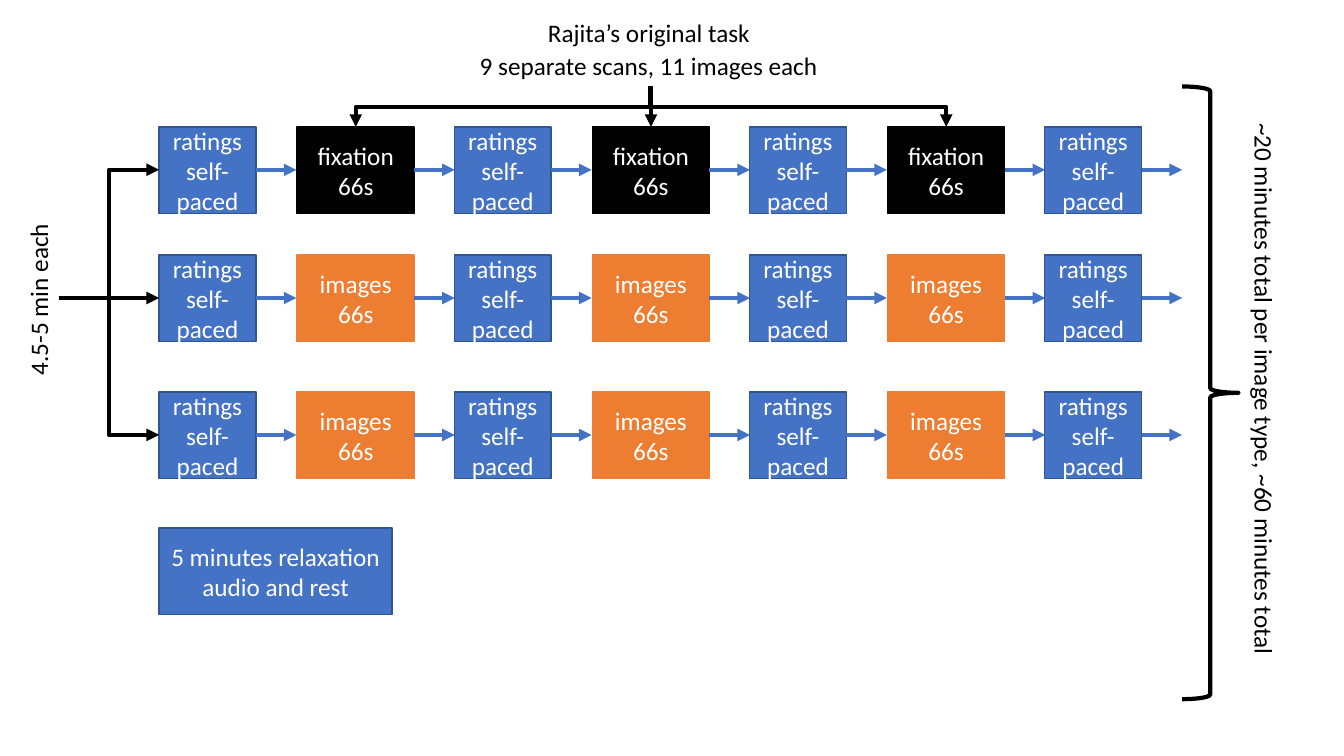
import pptx
import pptx.util
import pptx.dml.color
import pptx.enum.shapes
import pptx.enum.text
import pptx.oxml
import pptx.oxml.ns

BLUE, NAVY, ORANGE, BLACK, WHITE = "4472C4", "325491", "ED7D31", "000000", "FFFFFF"
RATING = "ratings\nself-paced"
SCANS = [
    (3.2, "fixation\n66s", BLACK),
    (6.43, "images\n66s", ORANGE),
    (9.88, "images\n66s", ORANGE),
]
LABELS = [
    ("Rajita’s original task", 13.56, 0.3, 5.64, 0),
    ("9 separate scans, 11 images each", 11.84, 1.14, 9.12, 0),
    ("4.5-5 min each", -1.22, 7.01, 4.37, 270),
    ("~20 minutes total per image type, ~60 minutes total", 24.84, 9.37, 14.05, 90),
]
REST = "5 minutes relaxation audio and rest"
FIRST_LEFT, PITCH, RATING_COUNT = 4.01, 7.44, 4
RATING_WIDTH, TASK_OFFSET, TASK_WIDTH, BOX_HEIGHT = 2.44, 3.48, 2.95, 2.18
ARROW_DROP, ARROW_LENGTH = 1.08, 1.02
TITLE_STEM = (16.39, 2.18)
DURATION_STEM = (1.48, 7.51)

Cm = pptx.util.Cm
Kind = pptx.enum.shapes.MSO_SHAPE
Connector = pptx.enum.shapes.MSO_CONNECTOR


def paint(target, color):
    target.solid()
    target.fore_color.rgb = pptx.dml.color.RGBColor.from_string(color)


def write(shape, text, color, align):
    shape.text_frame.text = text
    for para in shape.text_frame.paragraphs:
        para.alignment = align
        for span in para.runs:
            span.font.name = "Calibri"
            span.font.size = pptx.util.Pt(18)
            paint(span.font.fill, color)


def add_box(page, text, left, top, width, fill, outline):
    box = page.shapes.add_shape(Kind.RECTANGLE, Cm(left), Cm(top), Cm(width), Cm(BOX_HEIGHT))
    box.shadow.inherit = False
    paint(box.fill, fill)
    paint(box.line.fill, outline)
    box.line.width = pptx.util.Pt(1)
    box.text_frame.word_wrap = True
    box.text_frame.vertical_anchor = pptx.enum.text.MSO_ANCHOR.MIDDLE
    write(box, text, WHITE, pptx.enum.text.PP_ALIGN.CENTER)


def add_arrow(page, kind, begin, end, color):
    arrow = page.shapes.add_connector(kind, *map(Cm, begin + end))
    paint(arrow.line.fill, color)
    arrow.line.width = pptx.util.Pt(3)
    head = pptx.oxml.parse_xml(f'<a:tailEnd {pptx.oxml.ns.nsdecls("a")} type="triangle"/>')
    arrow.line._get_or_add_ln().append(head)
    properties = arrow._element.spPr
    properties.append(pptx.oxml.parse_xml(f'<a:effectLst {pptx.oxml.ns.nsdecls("a")}/>'))
    return arrow


def add_downward_elbow(page, begin, end):
    across, down = end[0] - begin[0], end[1] - begin[1]
    middle_x, middle_y = (begin[0] + end[0]) / 2, (begin[1] + end[1]) / 2
    side = 1 if across >= 0 else -1
    half_width, half_height = side * down / 2, abs(across) / 2
    arrow = add_arrow(page, Connector.ELBOW,
                      (middle_x + half_width, middle_y - half_height),
                      (middle_x - half_width, middle_y + half_height), BLACK)
    angle = 270 if side > 0 else 90
    arrow._element.spPr.find(pptx.oxml.ns.qn("a:xfrm")).set("rot", str(angle * 60000))


def add_scan(page, top, task, fill):
    level = top + ARROW_DROP
    for index in range(RATING_COUNT):
        left = FIRST_LEFT + index * PITCH
        add_box(page, RATING, left, top, RATING_WIDTH, BLUE, NAVY)
        starts = [left + RATING_WIDTH]
        if index < RATING_COUNT - 1:
            add_box(page, task, left + TASK_OFFSET, top, TASK_WIDTH, fill, fill)
            starts.append(left + TASK_OFFSET + TASK_WIDTH)
        for start in starts:
            add_arrow(page, Connector.STRAIGHT, (start, level), (start + ARROW_LENGTH, level), BLUE)


def add_label(page, text, left, top, width, angle):
    label = page.shapes.add_textbox(Cm(left), Cm(top), Cm(width), Cm(1.02))
    label.rotation = angle
    label.text_frame.word_wrap = False
    label.text_frame.auto_size = pptx.enum.text.MSO_AUTO_SIZE.SHAPE_TO_FIT_TEXT
    write(label, text, BLACK, pptx.enum.text.PP_ALIGN.LEFT)


def main():
    """Build the scan timeline slide."""
    deck = pptx.Presentation()
    deck.slide_width, deck.slide_height = Cm(33.87), Cm(19.05)
    page = deck.slides.add_slide(deck.slide_layouts[6])
    for top, task, fill in SCANS:
        add_scan(page, top, task, fill)
        add_arrow(page, Connector.ELBOW, DURATION_STEM, (FIRST_LEFT, top + ARROW_DROP), BLACK)
    first_top = SCANS[0][0]
    for index in range(RATING_COUNT - 1):
        center = FIRST_LEFT + index * PITCH + TASK_OFFSET + TASK_WIDTH / 2
        add_downward_elbow(page, TITLE_STEM, (center, first_top))
    add_box(page, REST, FIRST_LEFT, 13.31, 5.87, BLUE, NAVY)
    brace = page.shapes.add_shape(Kind.RIGHT_BRACE, Cm(29.79), Cm(2.18), Cm(1.42), Cm(15.44))
    brace.shadow.inherit = False
    brace.fill.background()
    paint(brace.line.fill, BLACK)
    brace.line.width = pptx.util.Pt(3)
    for label in LABELS:
        add_label(page, *label)
    deck.save("out.pptx")


if __name__ == "__main__":
    main()
